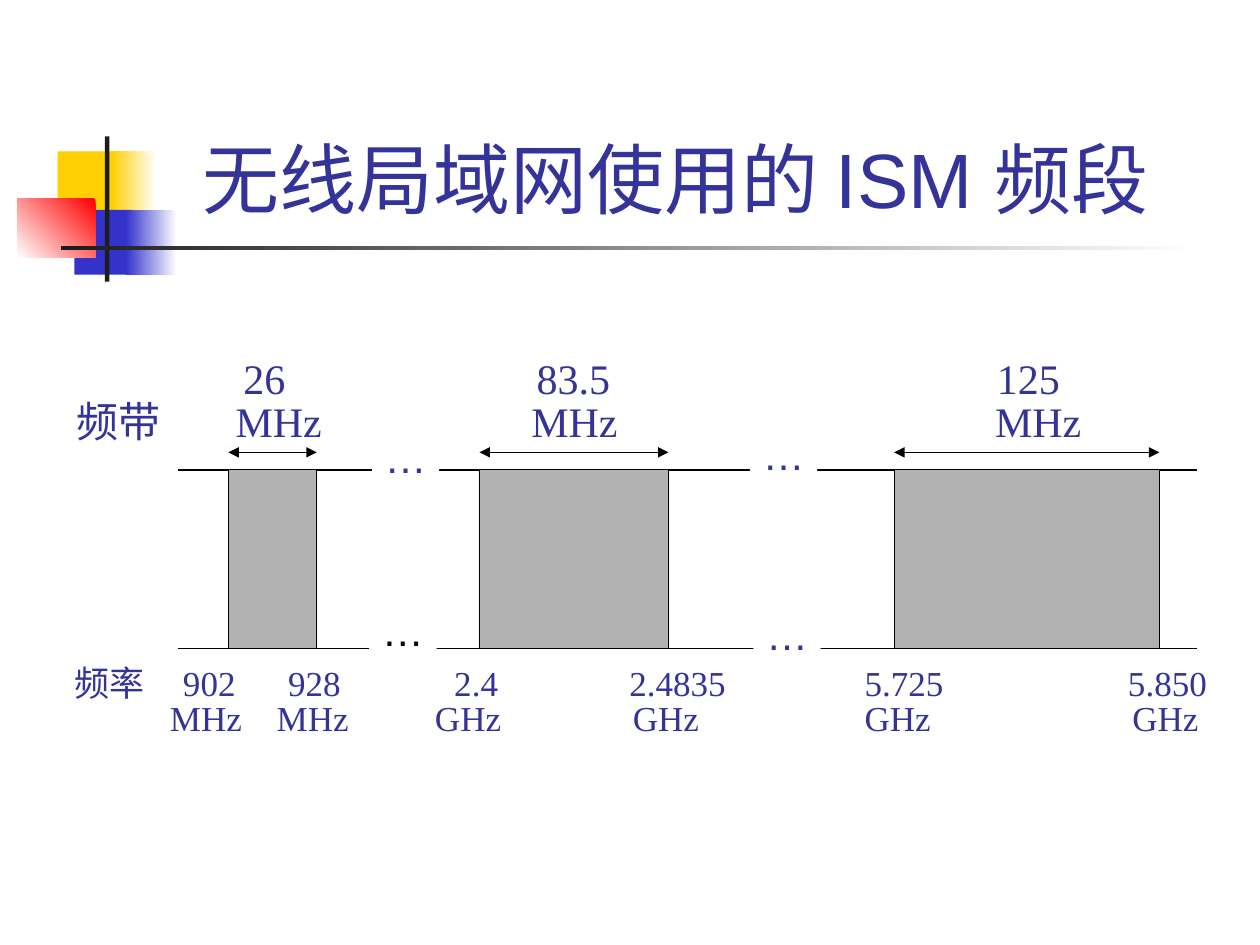
from lxml import etree
from pptx import Presentation
from pptx.dml.color import RGBColor
from pptx.enum.shapes import MSO_CONNECTOR, MSO_SHAPE
from pptx.enum.text import MSO_ANCHOR, PP_ALIGN
from pptx.oxml.ns import qn
from pptx.util import Pt

RECTANGLE = MSO_SHAPE.RECTANGLE
STRAIGHT = MSO_CONNECTOR.STRAIGHT
BOTTOM = MSO_ANCHOR.BOTTOM
CENTER = PP_ALIGN.CENTER

COLORS = {
    "text": "333399",
    "black": "000000",
    "white": "FFFFFF",
    "band": "B2B2B2",
    "yellow": "FFCF01",
    "blue": "3333CC",
    "red": "FF0000",
    "bar": "1C1C1C",
}


def rgb(name):
    return RGBColor.from_string(COLORS[name])


def add_block(page, left, top, width, height, color, fade_to=None, angle=180):
    block = page.shapes.add_shape(
        RECTANGLE, Pt(left), Pt(top), Pt(width), Pt(height))
    block.shadow.inherit = False
    block.line.fill.background()
    if fade_to is None:
        block.fill.solid()
        block.fill.fore_color.rgb = rgb(color)
    else:
        block.fill.gradient()
        block.fill.gradient_angle = angle
        for stop, name in zip(block.fill.gradient_stops, (color, fade_to)):
            stop.color.rgb = rgb(name)
    return block


def add_line(page, left, right, y, arrows=False):
    line = page.shapes.add_connector(STRAIGHT, Pt(left), Pt(y), Pt(right), Pt(y))
    line.line.color.rgb = rgb("black")
    line.line.width = Pt(0.75)
    if arrows:
        outline = line.line._get_or_add_ln()
        for end in ("a:headEnd", "a:tailEnd"):
            etree.SubElement(outline, qn(end), type="triangle")
    etree.SubElement(line._element.spPr, qn("a:effectLst"))


def format_text(para, size, font, color="text"):
    for span in para.runs:
        span.font.size = Pt(size)
        span.font.name = font
        span.font.color.rgb = rgb(color)


def add_ornament(page, left, top):
    add_block(page, left + 23, top + 8.5, 34.5, 37.5, "yellow")
    add_block(page, left + 53.5, top + 8.5, 26, 37.5, "white", "yellow")
    add_block(page, left + 32.5, top + 42, 33, 37, "blue")
    add_block(page, left + 62, top + 42, 29, 37, "white", "blue")
    add_block(page, left, top + 35.5, 44.5, 33.5, "red", "white", 225)
    add_block(page, left + 50, top, 2.5, 83, "bar")
    add_block(page, left + 25, top + 62.5, 648, 2.5, "white", "bar")


def add_title(page, left, top, width, height):
    box = page.shapes.add_textbox(Pt(left), Pt(top), Pt(width), Pt(height))
    frame = box.text_frame
    frame.word_wrap = True
    frame.vertical_anchor = BOTTOM
    frame.margin_left = Pt(25)
    frame.text = "无线局域网使用的 ISM 频段"
    format_text(frame.paragraphs[0], 44, "Arial")


def add_label_rows(page, left, top, width, height, size, rows):
    box = page.shapes.add_textbox(Pt(left), Pt(top), Pt(width), Pt(height))
    frame = box.text_frame
    frame.word_wrap = True
    frame.text = "\n".join("\t".join(labels) for labels, _ in rows)
    for para, (_, stops) in zip(frame.paragraphs, rows):
        para.line_spacing = 0.85
        format_text(para, size, "Times New Roman")
        tabs = etree.SubElement(para._p.get_or_add_pPr(), qn("a:tabLst"))
        for stop in stops:
            etree.SubElement(tabs, qn("a:tab"), pos=str(Pt(stop)), algn="l")


def add_ellipsis(page, left, top, color):
    gap = add_block(page, left, top, 38.5, 36, "white")
    frame = gap.text_frame
    frame.word_wrap = False
    frame.text = "…"
    frame.paragraphs[0].alignment = CENTER
    format_text(frame.paragraphs[0], 24, "Arial", color)


def add_spectrum(page, left, top, width, height):
    for y in (top, top + height):
        add_line(page, left, left + width, y)
    bands = [(29, 50.5), (172.5, 108), (409.5, 151.5)]
    for offset, band_width in bands:
        band = add_block(page, left + offset, top, band_width, height, "band")
        band.line.color.rgb = rgb("black")
        band.line.width = Pt(0.75)
    for offset, band_width in bands:
        start = left + offset
        add_line(page, start, start + band_width, top - 10, arrows=True)
    gaps = [(111, -25.5, "text"), (109.5, 73.5, "black"),
            (327, -27.5, "text"), (329, 75.5, "text")]
    for x, y, color in gaps:
        add_ellipsis(page, left + x, top + y, color)


def main():
    deck = Presentation()
    deck.slide_width, deck.slide_height = Pt(720), Pt(540)
    page = deck.slides.add_slide(deck.slide_layouts[6])
    add_ornament(page, 10, 78)
    add_title(page, 90.5, 16.5, 613.5, 115)
    add_label_rows(page, 36.5, 202.5, 605, 56, 24, [
        (["", "26", "83.5", "125"], [95.5, 263, 526]),
        (["频带", "MHz", "MHz", "MHz"], [91, 260, 525]),
    ])
    add_label_rows(page, 35.5, 378, 675, 48, 20, [
        (["频率", "902", "928", "2.4", "2.4835", "5.725", "5.850"],
         [62, 122, 217, 317, 451.5, 602]),
        (["", "MHz", "MHz", "GHz", "GHz", "GHz", "GHz"],
         [54.5, 115.5, 206, 319, 451.5, 604.5]),
    ])
    add_spectrum(page, 101.5, 268.5, 582.5, 102)
    deck.save("out.pptx")


if __name__ == "__main__":
    main()
